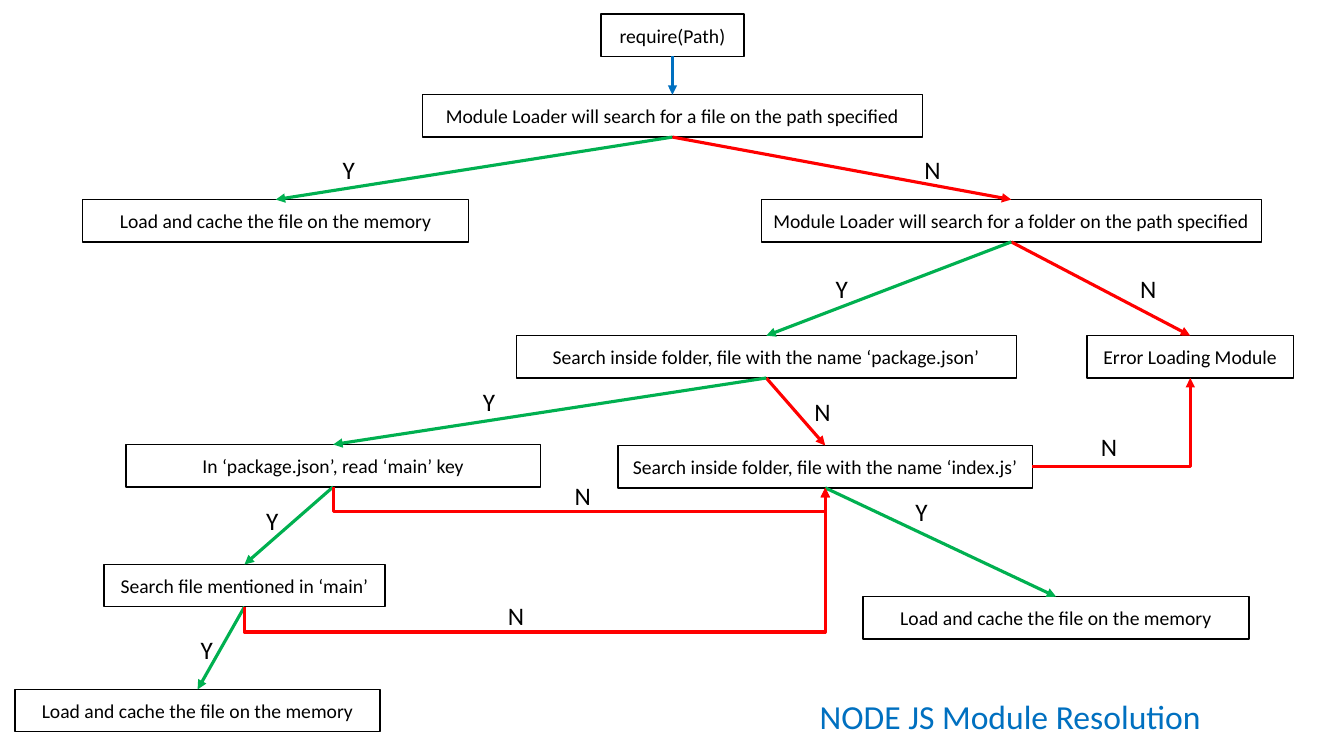
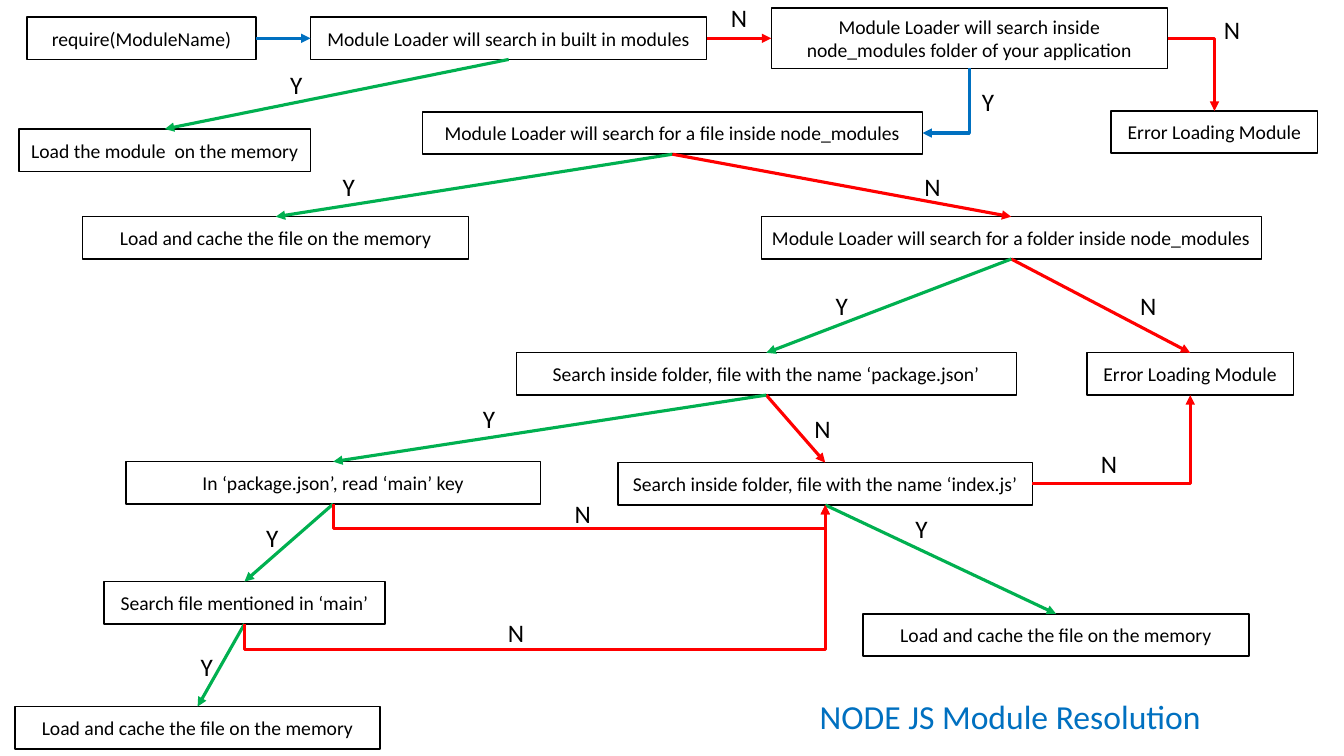
import pptx
import pptx.util
import pptx.dml.color
import pptx.enum.shapes
import pptx.enum.text
import pptx.oxml
import pptx.oxml.ns

PX = 9144
FONT = "Calibri"
BLACK = pptx.dml.color.RGBColor(0x00, 0x00, 0x00)
WHITE = pptx.dml.color.RGBColor(0xFF, 0xFF, 0xFF)
BLUE = pptx.dml.color.RGBColor(0x00, 0x70, 0xC0)
GREEN = pptx.dml.color.RGBColor(0x00, 0xB0, 0x50)
RED = pptx.dml.color.RGBColor(0xFF, 0x00, 0x00)

TOP, LEFT, BOTTOM, RIGHT = range(4)
BOX_HEIGHT = 42
LOOP_DROP = 25
LABEL_WIDTHS = {"Y": 32, "N": 36}
TITLE = "NODE JS Module Resolution"
CACHE = "Load and cache the file on the memory"
ERROR = "Error Loading Module"
TREE_SHIFT = 17


def emu(*lengths):
    return [pptx.util.Emu(n * PX) for n in lengths]


class Flowchart:
    def __init__(self):
        self.prs = pptx.Presentation()
        self.prs.slide_width, self.prs.slide_height = emu(1333, 750)
        self.s = None
        self.boxes = {}

    def new_slide(self):
        self.s = self.prs.slides.add_slide(self.prs.slide_layouts[5])
        self.boxes = {}
        self.title(TITLE)

    def set_text(self, tf, text, size, color, align, anchor):
        tf.text = text
        tf.vertical_anchor = anchor
        p = tf.paragraphs[0]
        p.alignment = align
        p.font.name = FONT
        p.font.size = pptx.util.Pt(size)
        p.font.color.rgb = color

    def free_text(self, sp, text, size, color):
        tf = sp.text_frame
        self.set_text(tf, text, size, color, pptx.enum.text.PP_ALIGN.LEFT,
                      pptx.enum.text.MSO_ANCHOR.TOP)
        tf.word_wrap = False
        tf.auto_size = pptx.enum.text.MSO_AUTO_SIZE.SHAPE_TO_FIT_TEXT

    def title(self, text):
        sp = self.s.shapes.title
        sp.left, sp.top, sp.width, sp.height = emu(803, 685, 402, 50)
        self.free_text(sp, text, 24, BLUE)

    def label(self, text, x, y):
        sp = self.s.shapes.add_textbox(*emu(x, y, LABEL_WIDTHS[text], 40))
        self.free_text(sp, text, 18, BLACK)

    def box(self, name, text, x, y, width, height=BOX_HEIGHT):
        sp = self.s.shapes.add_shape(
            pptx.enum.shapes.MSO_SHAPE.RECTANGLE, *emu(x, y, width, height))
        sp.shadow.inherit = False
        sp.fill.solid()
        sp.fill.fore_color.rgb = WHITE
        sp.line.color.rgb = BLACK
        sp.line.width = pptx.util.Pt(1)
        sp.text_frame.word_wrap = True
        self.set_text(sp.text_frame, text, 14, BLACK,
                      pptx.enum.text.PP_ALIGN.CENTER,
                      pptx.enum.text.MSO_ANCHOR.MIDDLE)
        self.boxes[name] = sp

    def arrow(self, color, start, start_side, end, end_side,
              kind=pptx.enum.shapes.MSO_CONNECTOR.STRAIGHT):
        cxn = self.s.shapes.add_connector(kind, 0, 0, 0, 0)
        cxn.begin_connect(self.boxes[start], start_side)
        cxn.end_connect(self.boxes[end], end_side)
        cxn.line.color.rgb = color
        cxn.line.width = pptx.util.Pt(2.25)
        sp_pr = cxn._element.spPr
        ln = sp_pr.find(pptx.oxml.ns.qn("a:ln"))
        ns = pptx.oxml.ns.nsdecls("a")
        ln.append(pptx.oxml.parse_xml(f'<a:tailEnd {ns} type="triangle"/>'))
        sp_pr.append(pptx.oxml.parse_xml(f"<a:effectLst {ns}/>"))
        return cxn

    def bent_arrow(self, color, start, start_side, end, end_side):
        cxn = self.arrow(color, start, start_side, end, end_side,
                         pptx.enum.shapes.MSO_CONNECTOR.ELBOW)
        geom = cxn._element.spPr.find(pptx.oxml.ns.qn("a:prstGeom"))
        dx, dy = cxn.end_x - cxn.begin_x, cxn.end_y - cxn.begin_y
        if start_side == end_side:
            adj = round(LOOP_DROP * PX / dy * 100000)
            for guides in list(geom):
                geom.remove(guides)
            geom.append(pptx.oxml.parse_xml(
                f'<a:avLst {pptx.oxml.ns.nsdecls("a")}>'
                f'<a:gd name="adj1" fmla="val {adj}"/></a:avLst>'))
        else:
            geom.set("prst", "bentConnector2")
        if start_side == BOTTOM:
            self.turn(cxn, dx, dy)

    def turn(self, cxn, dx, dy):
        mid_x, mid_y = cxn.begin_x + dx // 2, cxn.begin_y + dy // 2
        width, height = abs(dy), abs(dx)
        cxn.left, cxn.top = mid_x - width // 2, mid_y - height // 2
        cxn.width, cxn.height = width, height
        if dx > 0 and dy > 0:
            degrees, flip_h, flip_v = 270, True, False
        else:
            degrees, flip_h, flip_v = 90, dy < 0, dx > 0
        xfrm = cxn._element.spPr.find(pptx.oxml.ns.qn("a:xfrm"))
        xfrm.set("rot", str(degrees * 60000))
        xfrm.set("flipH", str(int(flip_h)))
        xfrm.set("flipV", str(int(flip_v)))

    def search_tree(self, file_text, folder_text, shift=0):
        for name, text, x, y, width in (
            ("file", file_text, 419, 94, 496),
            ("file found", CACHE, 82, 198, 383),
            ("folder", folder_text, 755, 198, 496),
            ("error", ERROR, 1078, 333, 205),
            ("package", "Search inside folder, file with the name ‘package.json’",
             512, 333, 496),
            ("index", "Search inside folder, file with the name ‘index.js’",
             613, 442, 411),
            ("index found", CACHE, 856, 592, 383),
            ("main key", "In ‘package.json’, read ‘main’ key", 125, 441, 411),
            ("main file", "Search file mentioned in ‘main’", 103, 560, 279),
            ("main found", CACHE, 15, 684, 362),
        ):
            self.box(name, text, x, y + shift, width)
        for color, start, end in (
            (GREEN, "file", "file found"),
            (RED, "file", "folder"),
            (RED, "folder", "error"),
            (GREEN, "folder", "package"),
            (RED, "package", "index"),
            (GREEN, "index", "index found"),
            (GREEN, "package", "main key"),
            (GREEN, "main key", "main file"),
            (GREEN, "main file", "main found"),
        ):
            self.arrow(color, start, BOTTOM, end, TOP)
        self.bent_arrow(RED, "index", RIGHT, "error", BOTTOM)
        for start in ("main key", "main file"):
            self.bent_arrow(RED, start, BOTTOM, "index", BOTTOM)
        for text, x, y in (
            ("Y", 330, 148), ("N", 907, 148), ("N", 1121, 266),
            ("Y", 819, 266), ("N", 798, 388), ("N", 1082, 423),
            ("Y", 898, 487), ("Y", 469, 378), ("N", 560, 472),
            ("Y", 254, 496), ("N", 494, 591), ("Y", 189, 624),
        ):
            self.label(text, x, y + shift)


def path_slide(chart):
    chart.new_slide()
    chart.search_tree("Module Loader will search for a file on the path specified",
                      "Module Loader will search for a folder on the path specified")
    chart.box("require", "require(Path)", 596, 14, 142)
    chart.arrow(BLUE, "require", BOTTOM, "file", TOP)


def module_slide(chart):
    chart.new_slide()
    chart.search_tree("Module Loader will search for a file inside node_modules",
                      "Module Loader will search for a folder inside node_modules",
                      TREE_SHIFT)
    chart.box("require", "require(ModuleName)", 27, 17, 227)
    chart.box("built in", "Module Loader will search in built in modules", 308, 17, 393)
    chart.box("built in found", "Load the module  on the memory", 19, 128, 289)
    chart.box("node_modules",
              "Module Loader will search inside node_modules folder of your application",
              765, 8, 393, 60)
    chart.box("not installed", ERROR, 1102, 110, 205)
    chart.arrow(BLUE, "require", RIGHT, "built in", LEFT)
    chart.arrow(RED, "built in", RIGHT, "node_modules", LEFT)
    chart.arrow(GREEN, "built in", BOTTOM, "built in found", TOP)
    chart.bent_arrow(RED, "node_modules", RIGHT, "not installed", TOP)
    chart.bent_arrow(BLUE, "node_modules", BOTTOM, "file", RIGHT)
    for text, x, y in (("Y", 278, 64), ("N", 715, -3),
                       ("N", 1204, 9), ("Y", 964, 81)):
        chart.label(text, x, y)


def main():
    chart = Flowchart()
    path_slide(chart)
    module_slide(chart)
    chart.prs.save("out.pptx")


if __name__ == "__main__":
    main()
